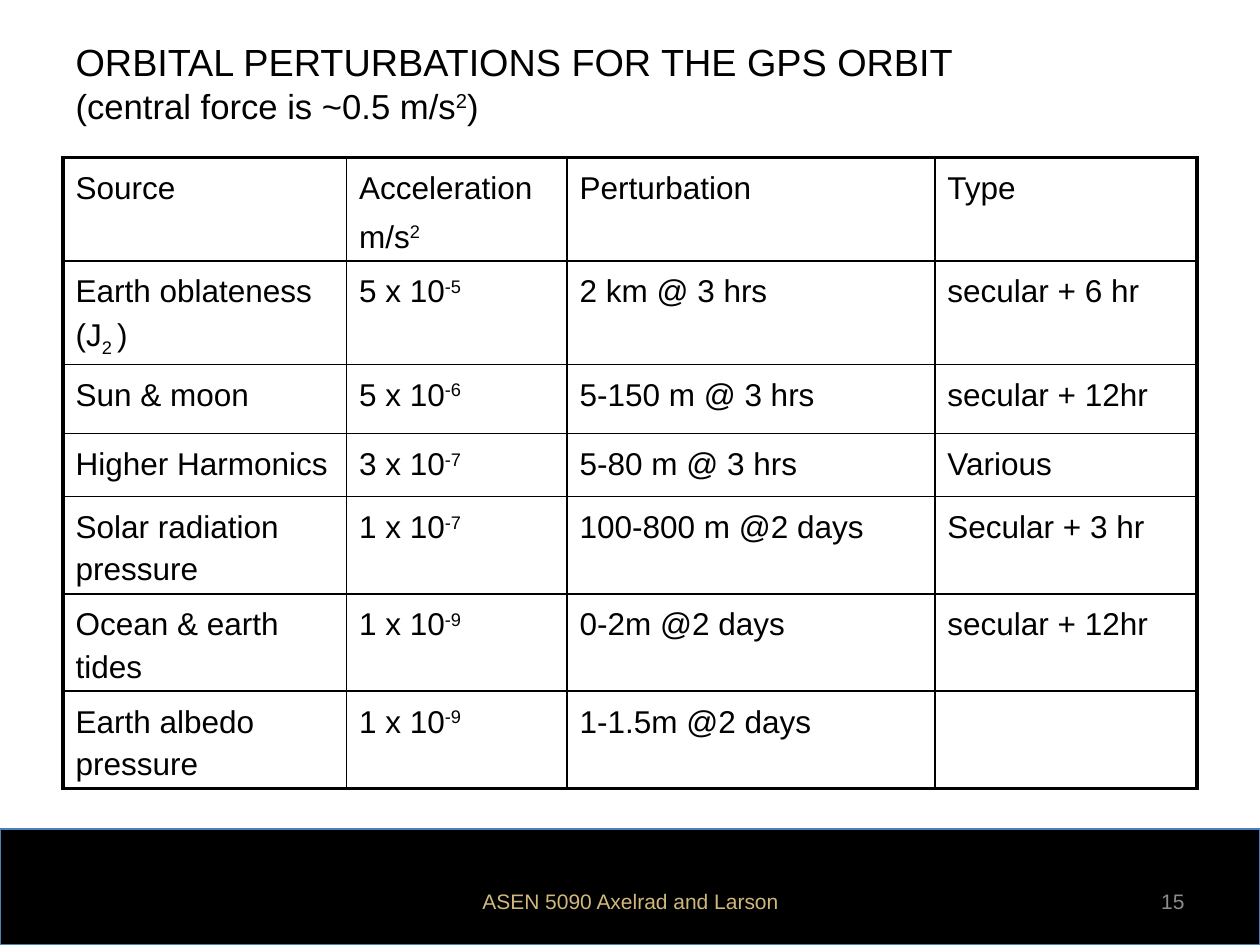
from pptx import Presentation, util as u
from pptx.dml.color import RGBColor
from pptx.enum import shapes, text
from pptx.oxml.ns import qn
from lxml import etree

COLORS = {"black": "000000", "band_line": "4B7EBC", "gold": "CFB879", "gray": "8C8C8C"}
FONT = "Arial"
BASELINES = {"^": "30000", "_": "-25000"}
TITLE = [("ORBITAL PERTURBATIONS FOR THE GPS ORBIT", 21.6),
         ("(central force is ~0.5 m/s|^2|)", 19.8)]
ROWS = [
    ("Source", "Acceleration\nm/s|^2", "Perturbation", "Type"),
    ("Earth oblateness (J|_2 |)", "5 x 10|^-5", "2 km @ 3 hrs", "secular + 6 hr"),
    ("Sun & moon", "5 x 10|^-6", "5-150 m @ 3 hrs", "secular + 12hr"),
    ("Higher Harmonics", "3 x 10|^-7", "5-80 m @ 3 hrs", "Various"),
    ("Solar radiation pressure", "1 x 10|^-7", "100-800 m @2 days", "Secular + 3 hr"),
    ("Ocean & earth tides", "1 x 10|^-9", "0-2m @2 days", "secular + 12hr"),
    ("Earth albedo pressure", "1 x 10|^-9", "1-1.5m @2 days", ""),
]
COL_WIDTHS = [2.25, 1.75, 2.92, 2.08]
ROW_HEIGHTS = [0.3, 0.56, 0.55, 0.5, 0.56, 0.56, 0.56]
FOOTERS = [
    ("ASEN 5090 Axelrad and Larson", 3.42, 3.17, text.PP_ALIGN.CENTER, "gold"),
    ("15", 7.17, 2.33, text.PP_ALIGN.RIGHT, "gray"),
]


def rgb(name):
    """Return a named colour."""
    return RGBColor.from_string(COLORS[name])


def style(font, size, color="black"):
    """Format a font."""
    font.name, font.size = FONT, u.Pt(size)
    font.color.rgb = rgb(color)


def add_runs(p, marked, size):
    """Add runs split at bars, raised after ^ and lowered after _."""
    for part in filter(None, marked.split("|")):
        r = p.add_run()
        r.text = part.lstrip("^_")
        style(r.font, size)
        if part[0] in BASELINES:
            r.font._element.set("baseline", BASELINES[part[0]])


def set_borders(cell, widths):
    """Draw the left, right, top and bottom borders of a cell."""
    tc_pr = cell._tc.get_or_add_tcPr()
    for i, (side, width) in enumerate(zip("LRTB", widths)):
        ln = etree.Element(qn(f"a:ln{side}"), w=str(u.Pt(width)))
        fill = etree.SubElement(ln, qn("a:solidFill"))
        etree.SubElement(fill, qn("a:srgbClr"), val=COLORS["black"])
        tc_pr.insert(i, ln)


def fill_cell(cell, content):
    """Write the paragraphs of a cell."""
    cell.fill.background()
    cell.text_frame.text = content
    for p, line in zip(cell.text_frame.paragraphs, content.split("\n")):
        p.text = ""
        p.line_spacing = 1.2
        p.space_before = u.Pt(0)
        before = p._p.pPr.find(qn("a:spcBef"))
        before.clear()
        etree.SubElement(before, qn("a:spcPct"), val="20000")
        style(p.font, 18)
        add_runs(p, line, 18)


def add_table(s):
    """Build the perturbation table."""
    frame = s.shapes.add_table(len(ROWS), len(COL_WIDTHS), u.Inches(0.5), u.Inches(1.25),
                               u.Inches(9), u.Inches(5.21))
    table = frame.table
    table.first_row = table.horz_banding = False
    for col, width in zip(table.columns, COL_WIDTHS):
        col.width = u.Inches(width)
    for row, height in zip(table.rows, ROW_HEIGHTS):
        row.height = u.Inches(height)
    frame.height = u.Inches(5.21)
    last_row, last_col = len(ROWS) - 1, len(COL_WIDTHS) - 1
    for i, row in enumerate(ROWS):
        for j, content in enumerate(row):
            cell = table.cell(i, j)
            fill_cell(cell, content)
            outer = (j == 0, j == last_col, i == 0, i == last_row)
            set_borders(cell, [2.25 if edge else 1 for edge in outer])


def main():
    """Build the slide."""
    prs = Presentation()
    prs.slide_width, prs.slide_height = u.Inches(10), u.Inches(7.5)
    s = prs.slides.add_slide(prs.slide_layouts[5])

    band = s.shapes.add_shape(shapes.MSO_SHAPE.RECTANGLE, 0, u.Inches(6.58),
                              u.Inches(10), u.Inches(0.92))
    band.shadow.inherit = False
    band.fill.solid()
    band.fill.fore_color.rgb = rgb("black")
    band.line.color.rgb = rgb("band_line")
    band.line.width = u.Pt(0.75)

    title = s.shapes.title
    title.left, title.top, title.width, title.height = map(u.Inches, (0.5, 0.22, 9, 0.87))
    tf = title.text_frame
    tf.auto_size = text.MSO_AUTO_SIZE.NONE
    tf.vertical_anchor = text.MSO_ANCHOR.MIDDLE
    p = tf.paragraphs[0]
    p.alignment = text.PP_ALIGN.LEFT
    for i, (line, size) in enumerate(TITLE):
        if i:
            p.add_line_break()
        add_runs(p, line, size)

    add_table(s)

    for label, left, width, align, color in FOOTERS:
        sp = s.shapes.add_textbox(*map(u.Inches, (left, 6.95, width, 0.4)))
        tf = sp.text_frame
        tf.word_wrap = True
        tf.vertical_anchor = text.MSO_ANCHOR.MIDDLE
        p = tf.paragraphs[0]
        p.text, p.alignment = label, align
        style(p.runs[0].font, 12, color)

    prs.save("out.pptx")


if __name__ == "__main__":
    main()
